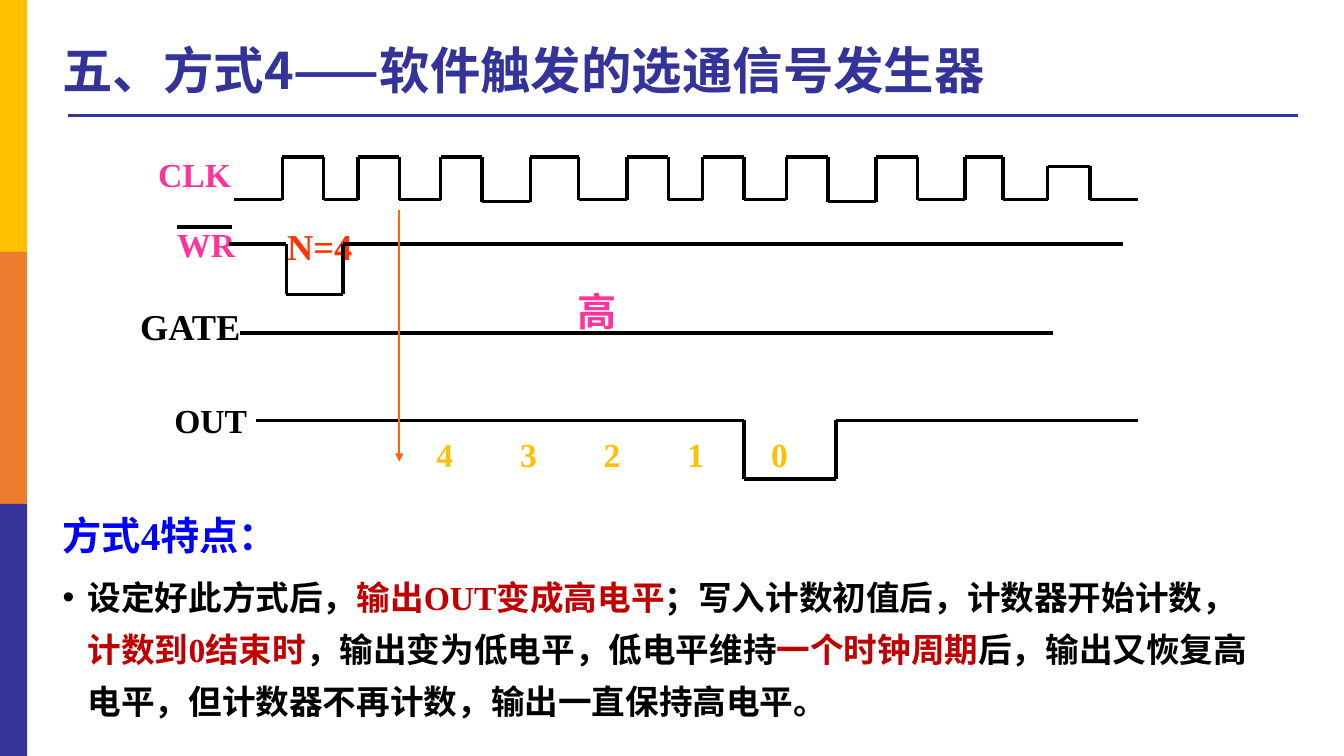
from collections import namedtuple
from itertools import pairwise
from lxml.etree import SubElement
from pptx import Presentation
from pptx.dml.color import RGBColor
from pptx.enum.shapes import MSO_CONNECTOR as CONN, MSO_SHAPE as SHAPE
from pptx.enum.text import MSO_ANCHOR as ANCHOR, MSO_AUTO_SIZE as AUTO, PP_ALIGN as ALIGN
from pptx.oxml.ns import qn
from pptx.util import Inches, Pt

W, H = 13.33, 7.5
LATIN, CJK = "Times New Roman", "Noto Sans CJK SC"
COLORS = {
    "navy": "333399", "gold": "FFC000", "orange": "ED7D31", "blue": "0000FF",
    "red": "C00000", "black": "000000", "pink": "FF3399", "scarlet": "FF3300",
    "arrow": "FF6600",
}
Box = namedtuple("Box", "x y w h")


def rgb(name):
    return RGBColor.from_string(COLORS[name])


def place(sp, box):
    sp.left, sp.top, sp.width, sp.height = map(Inches, box)


def add_run(p, text, size, color, font=LATIN):
    r = p.add_run()
    r.text = text
    r.font.size, r.font.bold, r.font.name = Pt(size), True, font
    r.font.color.rgb = rgb(color)
    SubElement(r._r.rPr, qn("a:ea"), typeface=CJK)


def line(slide, start, end, color="black", width=2.5, arrow=False):
    s = slide.shapes.add_connector(CONN.STRAIGHT, *map(Inches, (*start, *end)))
    s.line.color.rgb = rgb(color)
    s.line.width = Pt(width)
    if arrow:
        SubElement(s.line._ln, qn("a:tailEnd"), type="triangle")
    SubElement(s._element.spPr, qn("a:effectLst"))


def trace(slide, box, points, width=2.5):
    """Join points, given from the corner of the box, with straight lines."""
    for (x1, y1), (x2, y2) in pairwise(points):
        line(slide, (box.x + x1, box.y + y1), (box.x + x2, box.y + y2), width=width)


def label(slide, box, at, text, color, size=24, tab=None):
    x, y, w, h = at
    s = slide.shapes.add_textbox(*map(Inches, (box.x + x, box.y + y, w, h)))
    s.text_frame.word_wrap = True
    p = s.text_frame.paragraphs[0]
    if tab:
        tabs = SubElement(p._p.get_or_add_pPr(), qn("a:tabLst"))
        for i in range(1, text.count("\t") + 1):
            SubElement(tabs, qn("a:tab"), pos=str(Inches(i * tab)), algn="l")
    add_run(p, text, size, color)


def side_bands(slide, box):
    band = box.h / 3
    for i, color in enumerate(("gold", "orange", "navy")):
        s = slide.shapes.add_shape(
            SHAPE.RECTANGLE, *map(Inches, (box.x, box.y + i * band, box.w, band)))
        s.shadow.inherit = False
        s.fill.solid()
        s.fill.fore_color.rgb = rgb(color)
        s.line.fill.background()


def heading(slide, box):
    title = slide.shapes.title
    place(title, box)
    tf = title.text_frame
    tf.auto_size, tf.vertical_anchor = AUTO.NONE, ANCHOR.MIDDLE
    p = tf.paragraphs[0]
    p.alignment, p.line_spacing = ALIGN.LEFT, 0.9
    add_run(p, "五、方式4——软件触发的选通信号发生器", 36, "navy", CJK)
    rule = box.y + box.h - 0.01
    line(slide, (box.x + 0.15, rule), (box.x + 12.35, rule), "navy", 2.25)


def clock(slide, box):
    low, high = 0.5, 0.08
    pulses = [(1.55, 1.96), (2.3, 2.71), (3.12, 3.53), (4.01, 4.49), (4.97, 5.38),
              (5.72, 6.13), (6.55, 6.96), (7.44, 7.85), (8.32, 8.7), (9.14, 9.56)]
    points, base = [(1.07, low)], low
    for i, (rise, fall) in enumerate(pulses):
        top = 0.17 if i == len(pulses) - 1 else high
        after = low + 0.02 if i in (2, 6) else low
        points += [(rise, base), (rise, top), (fall, top), (fall, after)]
        base = after
    trace(slide, box, points + [(10.04, low)])
    label(slide, box, (0.22, 0, 1.37, 0.51), "CLK", "pink")


def write_strobe(slide, box):
    high, low = 0.25, 0.75
    label(slide, box, (0.41, 0, 0.9, 0.51), "WR", "pink")
    trace(slide, box, [(0.51, 0.08), (1.05, 0.08)], 2.75)
    label(slide, box, (1.5, 0, 1.1, 0.54), "N=4", "scarlet", 26)
    trace(slide, box, [(1.02, high), (1.59, high), (1.59, low),
                       (2.15, low), (2.15, high), (9.89, high)])


def gate(slide, box):
    trace(slide, box, [(1.13, 0.5), (9.19, 0.5)], 2.75)
    label(slide, box, (0.04, 0.17, 1.52, 0.54), "GATE", "black", 26)
    label(slide, box, (4.38, 0, 2.16, 0.57), "高", "pink", 28)


def output(slide, box):
    high, low = 0.25, 0.83
    trace(slide, box, [(1.29, high), (6.13, high), (6.13, low),
                       (7.04, low), (7.04, high), (10.04, high)])
    label(slide, box, (0.38, 0, 1.75, 0.51), "OUT", "black")
    label(slide, box, (2.98, 0.34, 6.67, 0.51), "4\t3\t2\t1\t0", "gold", tab=0.83)


def timing_diagram(slide, box):
    rows = ((clock, 0), (write_strobe, 0.69), (gate, 1.32), (output, 2.44))
    for draw, top in rows:
        draw(slide, Box(box.x, box.y + top, box.w, 0.9))
    x = box.x + 2.71
    line(slide, (x, box.y + 0.6), (x, box.y + 3.1), "arrow", 1.75, arrow=True)


def features(slide, box):
    body = slide.placeholders[1]
    place(body, box)
    tf = body.text_frame
    tf.auto_size, tf.vertical_anchor = AUTO.NONE, ANCHOR.TOP
    paragraphs = [
        (28, 1.1, 0, None, [("方式4特点：", "blue")]),
        (24, 1.3, 4, "•", [
            ("设定好此方式后，", "black"),
            ("输出OUT变成高电平", "red"),
            ("；写入计数初值后，计数器开始计数，", "black"),
            ("计数到0结束时", "red"),
            ("，输出变为低电平，低电平维持", "black"),
            ("一个时钟周期", "red"),
            ("后，输出又恢复高电平，但计数器不再计数，输出一直保持高电平。", "black"),
        ]),
    ]
    for i, (size, spacing, before, bullet, runs) in enumerate(paragraphs):
        p = tf.add_paragraph() if i else tf.paragraphs[0]
        p.line_spacing, p.space_before = spacing, Pt(before)
        pPr = p._p.get_or_add_pPr()
        pPr.set("marL", str(Inches(0.25)))
        pPr.set("indent", str(Inches(-0.25)))
        if bullet:
            SubElement(pPr, qn("a:buFont"), typeface="Arial")
            SubElement(pPr, qn("a:buChar"), char=bullet)
        else:
            SubElement(pPr, qn("a:buNone"))
        for text, color in runs:
            add_run(p, text, size, color)


def main():
    prs = Presentation()
    prs.slide_width, prs.slide_height = Inches(W), Inches(H)
    slide = prs.slides.add_slide(prs.slide_layouts[1])
    side_bands(slide, Box(0, 0, 0.27, H))
    heading(slide, Box(0.52, 0.29, 9.91, 0.87))
    timing_diagram(slide, Box(1.25, 1.48, 10.04, 3.3))
    features(slide, Box(0.52, 4.98, 12.05, 2.4))
    prs.save("out.pptx")


if __name__ == "__main__":
    main()
